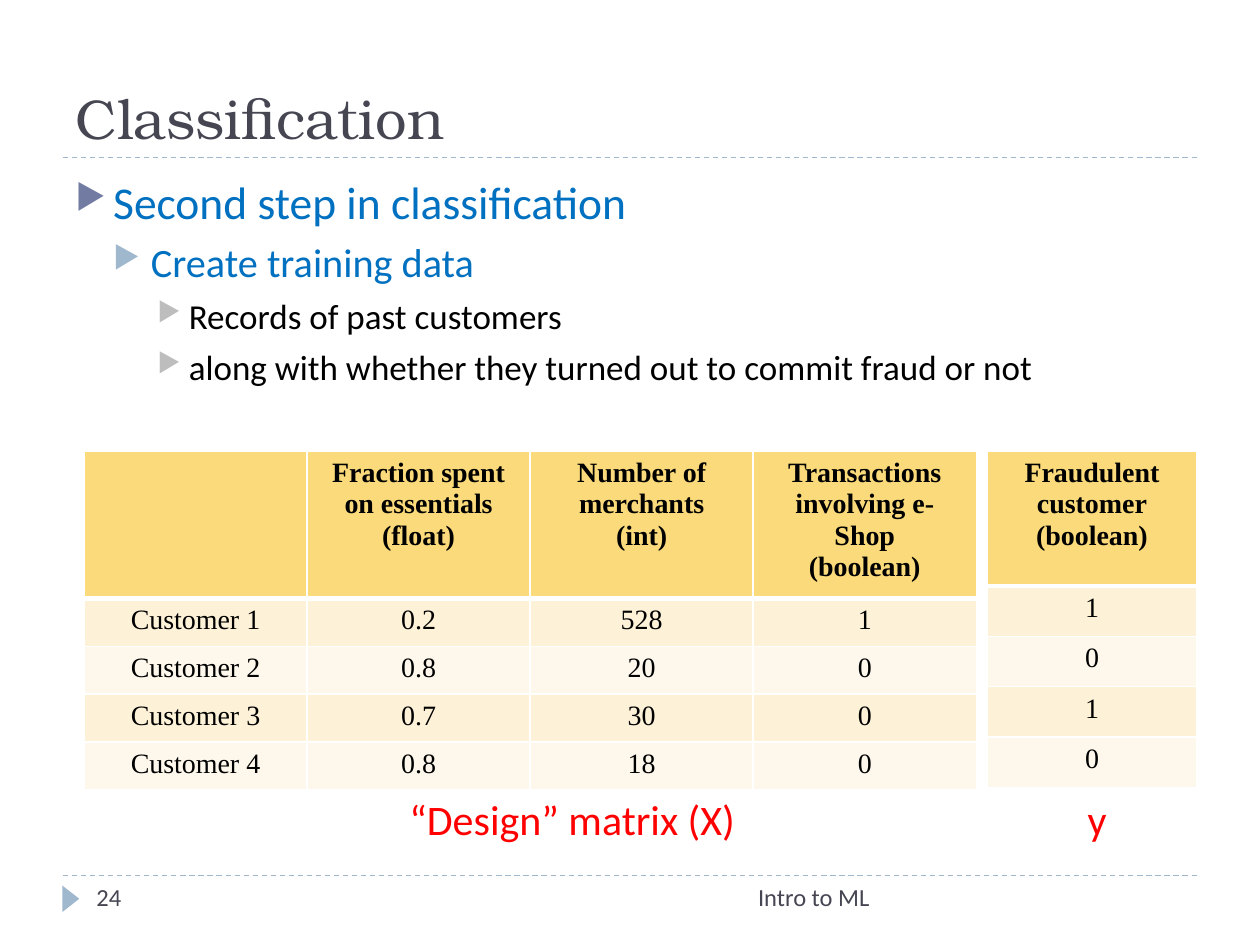
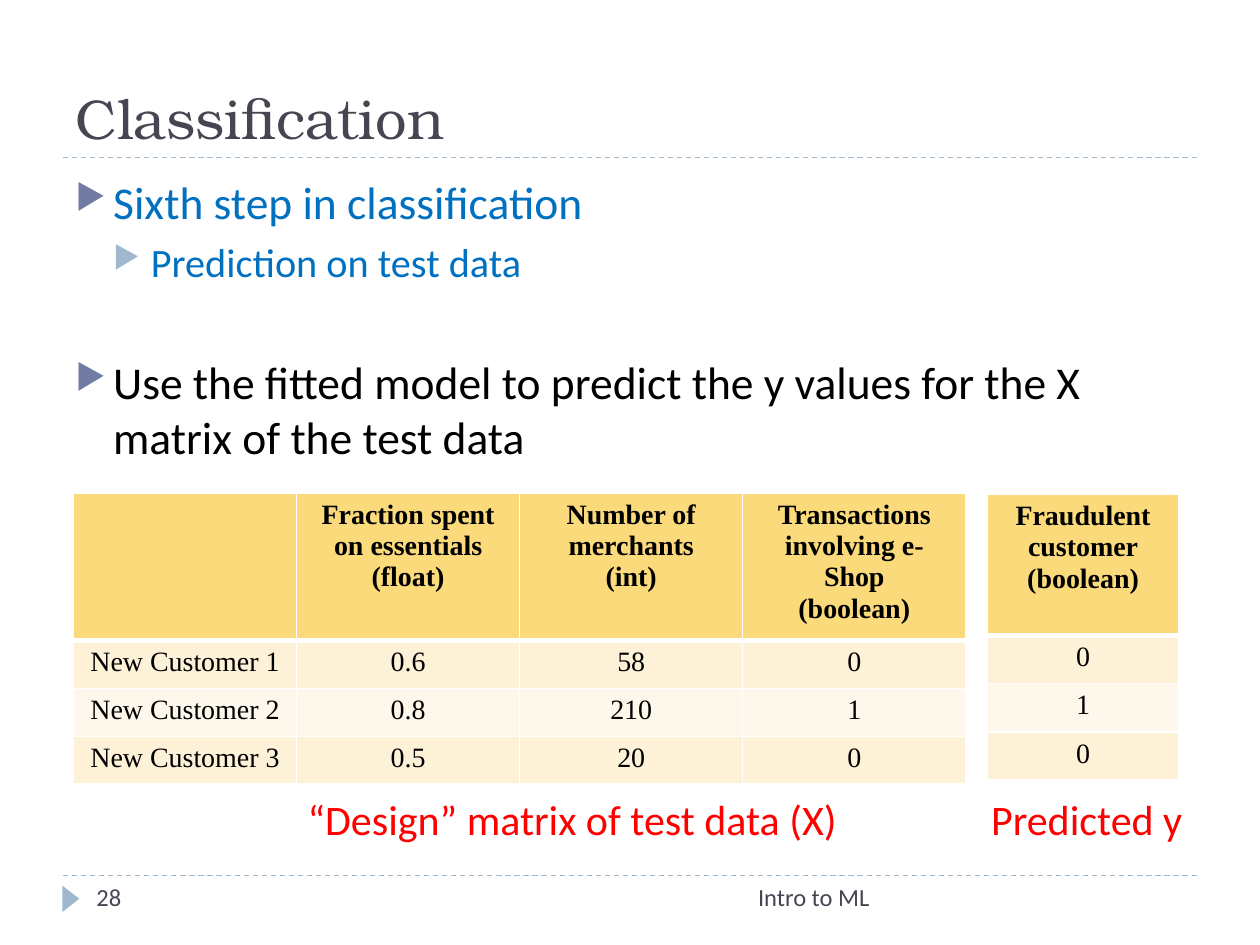
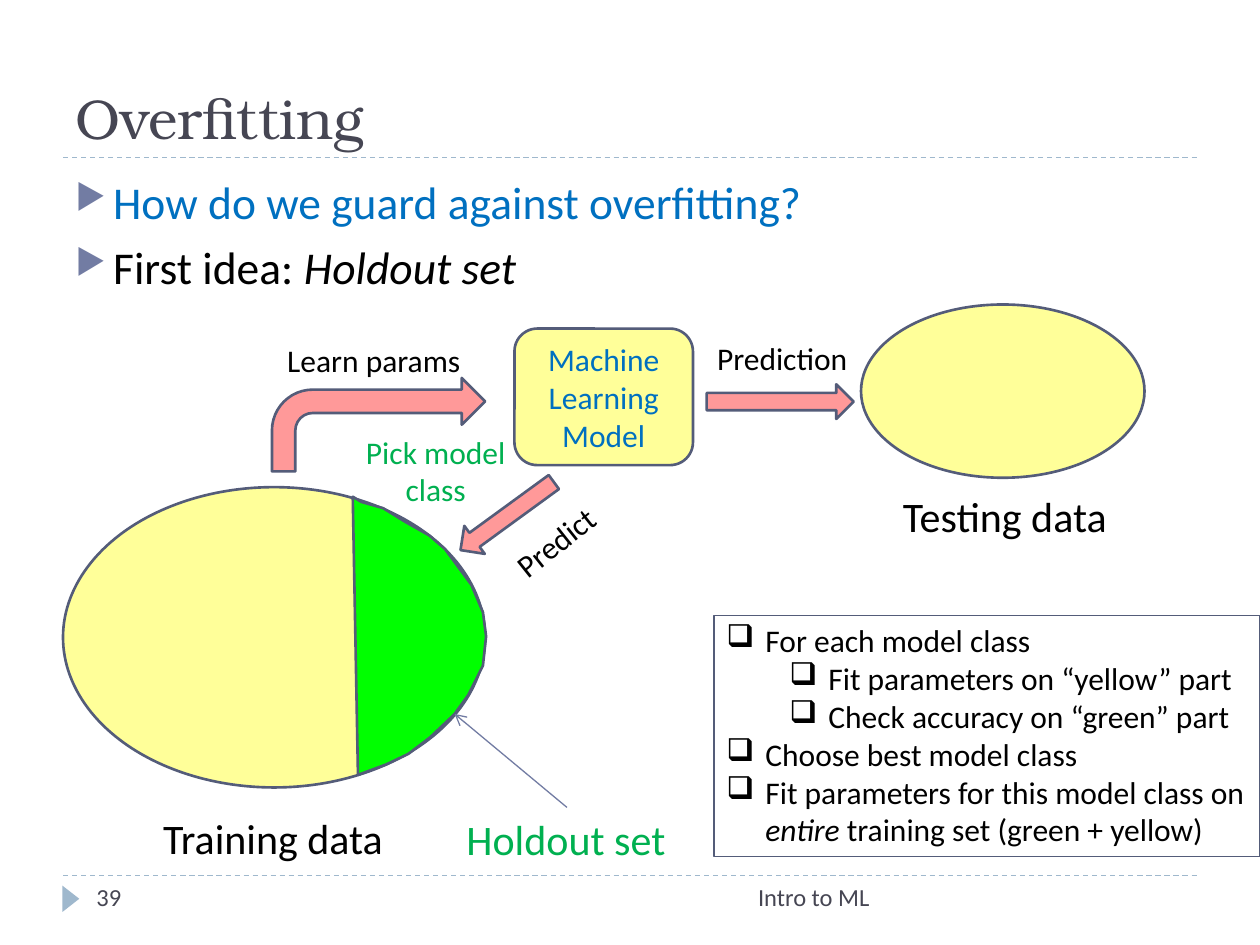
from lxml import etree
from pptx import Presentation
from pptx import util as u
from pptx.dml.color import RGBColor
from pptx.enum import dml, shapes, text
from pptx.oxml.ns import qn

COLORS = {
    "white": "FFFFFF", "ink": "000000", "title": "464653", "blue": "0070C0",
    "red": "FF0000", "green": "00B050", "holdout": "00FF00", "yellow": "FFFF00",
    "rule": "9FB8CD", "outline": "545C79", "pointer": "727CA3", "third": "BDBDBD",
    "header": "FADA7A", "band_dark": "FDF1D7", "band_light": "FEF8EC",
}
BODY, HEADING, TABLE = "Calibri", "TeX Gyre Bonum", "Times New Roman"
COLUMNS, ROWS = 120, 90
ALIGN = text.PP_ALIGN
KIND = shapes.MSO_SHAPE

# Body levels: size, left indent and hanging indent in inches, space before, bullet colour
LEVELS = [(26, 0.3, 0.3, 6, "pointer"), (23, 0.6, 0.3, 5, "rule"), (20, 0.9, 0.25, 5, "third")]


def rgb(name):
    return RGBColor.from_string(COLORS[name])


def child(parent, tag, **attributes):
    return etree.SubElement(parent, qn(tag), attributes)


class Slides:
    """Holds the deck, its grid and the current slide."""

    def __init__(self):
        self.deck = Presentation()
        self.deck.slide_width, self.deck.slide_height = u.Inches(10), u.Inches(7.5)
        self.column = self.deck.slide_width / COLUMNS
        self.row = self.deck.slide_height / ROWS
        self.page = None

    def place(self, left, top, width, height):
        return (*self.point(left, top), *self.point(width, height))

    def point(self, x, y):
        return u.Emu(round(x * self.column)), u.Emu(round(y * self.row))

    # Slide frame: title, rules and footer
    def start(self, title, number):
        self.page = self.deck.slides.add_slide(self.deck.slide_layouts[5])
        for y in (15, 83.4):
            self.line((6, y), (114, y), "rule", dash=True)
        marker = self.shape(KIND.ISOSCELES_TRIANGLE, (5.5, 84.8, 2.5, 1.6), "rule", None)
        marker.rotation = 90
        heading = self.page.shapes.title
        heading.left, heading.top, heading.width, heading.height = self.place(6, 2, 108, 13)
        heading.text_frame.vertical_anchor = text.MSO_ANCHOR.BOTTOM
        self.add_text(heading.text_frame.paragraphs[0], title, 32, "title", HEADING, ALIGN.LEFT)
        self.label("Intro to ML", (38, 83.4, 46, 4.8), 14, "title", ALIGN.RIGHT)
        self.label(number, (8, 83.4, 26, 4.8), 14, "title", ALIGN.LEFT)

    # Text; a "*" switches italics on and off
    def add_text(self, para, words, size, color, font=BODY, align=None, bold=False):
        para.alignment = align
        for index, part in enumerate(words.split("*")):
            for number, line in enumerate(part.split("\n")):
                if number:
                    para.add_line_break()
                if not line:
                    continue
                span = para.add_run()
                span.text = line
                span.font.size, span.font.name = u.Pt(size), font
                span.font.color.rgb = rgb(color)
                span.font.bold, span.font.italic = bold, index % 2 == 1

    def label(self, words, area, size=18, color="ink", align=ALIGN.CENTER):
        box = self.page.shapes.add_textbox(*self.place(*area))
        box.text_frame.word_wrap = True
        self.add_text(box.text_frame.paragraphs[0], words, size, color, align=align)
        return box

    def bullet(self, para, level, left, hanging, sign, color=None, percent=100):
        para.level = level
        props = para._p.get_or_add_pPr()
        props.set("marL", str(u.Inches(left)))
        props.set("indent", str(-u.Inches(hanging)))
        if color:
            child(child(props, "a:buClr"), "a:srgbClr", val=COLORS[color])
        child(props, "a:buSzPct", val=str(percent * 1000))
        child(props, "a:buChar", char=sign)

    def paragraphs(self, box, items):
        frame = box.text_frame
        frame.word_wrap = True
        for index, item in enumerate(items):
            yield index, frame.add_paragraph() if index else frame.paragraphs[0], item

    def body(self, *items):
        """Each item is level, words, colour and, if wanted, its own space before."""
        box = self.page.shapes.add_textbox(*self.place(6, 16, 108, 64.8))
        for index, para, (level, words, color, *space) in self.paragraphs(box, items):
            size, left, hanging, before, mark = LEVELS[level]
            self.bullet(para, level, left, hanging, "▶", mark, 76)
            if index:
                para.space_before = u.Pt(space[0] if space else before)
            self.add_text(para, words, size, color)

    def checklist(self, area, *items):
        box = self.page.shapes.add_textbox(*self.place(*area))
        box.line.color.rgb, box.line.width = rgb("outline"), u.Pt(0.75)
        for _, para, (level, words) in self.paragraphs(box, items):
            self.bullet(para, level, 0.31 + level * 0.5, 0.31, "❑")
            self.add_text(para, words, 18, "ink")

    # Shapes and lines
    def paint(self, shape, fill, outline="outline", opacity=100):
        shape.shadow.inherit = False
        shape.fill.solid()
        shape.fill.fore_color.rgb = rgb(fill)
        if opacity < 100:
            color = shape._element.spPr.find(qn("a:solidFill"))[0]
            child(color, "a:alpha", val=str(opacity * 1000))
        if outline:
            shape.line.color.rgb, shape.line.width = rgb(outline), u.Pt(1.5)
        else:
            shape.line.fill.background()
        return shape

    def shape(self, kind, area, fill, outline="outline", opacity=100):
        shape = self.page.shapes.add_shape(kind, *self.place(*area))
        return self.paint(shape, fill, outline, opacity)

    def outline(self, points, fill):
        corners = [self.point(*corner) for corner in points]
        builder = self.page.shapes.build_freeform(*corners[0])
        builder.add_line_segments(corners[1:], close=True)
        return self.paint(builder.convert_to_shape(), fill)

    def line(self, start, end, color, dash=False, arrow=False):
        line = self.page.shapes.add_connector(
            shapes.MSO_CONNECTOR.STRAIGHT, *self.point(*start), *self.point(*end))
        line.line.color.rgb, line.line.width = rgb(color), u.Pt(0.75)
        if dash:
            line.line.dash_style = dml.MSO_LINE.DASH
        if arrow:
            child(line._element.spPr.find(qn("a:ln")), "a:tailEnd", type="arrow")
        child(line._element.spPr, "a:effectLst")

    # Tables
    def table(self, area, header_rows, records):
        height = area[3]
        grid = self.page.shapes.add_table(
            len(records), len(records[0]), *self.place(*area)).table
        record_rows = (height - header_rows) / (len(records) - 1)
        for r, record in enumerate(records):
            grid.rows[r].height = round((record_rows if r else header_rows) * self.row)
            fill = ("band_light", "band_dark")[r % 2] if r else "header"
            for c, words in enumerate(record):
                cell = grid.cell(r, c)
                self.borders(cell, top=3 if r == 1 else 1, bottom=1 if r else 3)
                cell.fill.solid()
                cell.fill.fore_color.rgb = rgb(fill)
                if words:
                    self.add_text(cell.text_frame.paragraphs[0], words, 16, "ink",
                                  TABLE, ALIGN.CENTER, bold=r == 0)

    def borders(self, cell, top, bottom):
        props = cell._tc.get_or_add_tcPr()
        for side, points in zip("LRTB", (1, 1, top, bottom)):
            edge = child(props, f"a:ln{side}", w=str(u.Pt(points)))
            child(child(edge, "a:solidFill"), "a:srgbClr", val=COLORS["white"])


FEATURES = ["", "Fraction spent on essentials\n(float)", "Number of merchants\n(int)",
            "Transactions involving e-Shop\n(boolean)"]
TARGET = ["Fraudulent customer\n(boolean)"]


def training_data(slides):
    slides.start("Classification", "24")
    slides.body((0, "Second step in classification", "blue"),
                (1, "Create training data", "blue"),
                (2, "Records of past customers", "ink"),
                (2, "along with whether they turned out to commit fraud or not", "ink"))
    slides.table((8, 43, 85, 31.4), 13.2, [
        FEATURES,
        ["Customer 1", "0.2", "528", "1"],
        ["Customer 2", "0.8", "20", "0"],
        ["Customer 3", "0.7", "30", "0"],
        ["Customer 4", "0.8", "18", "0"]])
    slides.table((94, 43, 20, 32), 12.8, [TARGET, ["1"], ["0"], ["1"], ["0"]])
    slides.label("“Design” matrix (X)", (34, 75, 41, 6), 24, "red")
    slides.label("y", (101, 75, 7, 6), 24, "red")


def test_data(slides):
    slides.start("Classification", "28")
    slides.body((0, "Sixth step in classification", "blue"),
                (1, "Prediction on test data", "blue"),
                (0, "Use the fitted model to predict the y values for the X matrix "
                    "of the test data", "ink", 39))
    slides.table((7, 47, 85, 26.9), 13.2, [
        FEATURES,
        ["New Customer 1", "0.6", "58", "0"],
        ["New Customer 2", "0.8", "210", "1"],
        ["New Customer 3", "0.5", "20", "0"]])
    slides.table((94, 47.1, 18.3, 27.2), 13.4, [TARGET, ["0"], ["1"], ["0"]])
    slides.label("“Design” matrix of test data (X)", (25, 75, 59, 6), 24, "red")
    slides.label("Predicted y", (92, 75, 23, 6), 24, "red")


def overfitting(slides):
    slides.start("Overfitting", "39")
    slides.body((0, "How do we guard against overfitting?", "blue"),
                (0, "First idea: *Holdout set*", "ink"))

    # Data sets and model
    slides.shape(KIND.OVAL, (6, 46.4, 40.2, 28.6), "yellow", opacity=40)
    slides.shape(KIND.OVAL, (82, 29, 27, 16.5), "yellow", opacity=40)
    slides.label("Training data", (13, 76.8, 26, 6), 24)
    slides.label("Testing data", (82.7, 46.1, 26, 6), 24)
    model = slides.shape(KIND.ROUNDED_RECTANGLE, (49, 31.3, 17, 13), "yellow", opacity=40)
    model.text_frame.word_wrap = True
    slides.add_text(model.text_frame.paragraphs[0], "Machine Learning Model", 18, "blue",
                    align=ALIGN.CENTER)

    # Holdout part of the training data
    slides.outline([
        (33.6, 47.3), (34.1, 73.8), (36.8, 72.8), (38.9, 71.8), (41, 70.2), (43.3, 68),
        (44.6, 66.2), (46, 63.4), (46.3, 60.6), (46, 58.3), (44.9, 55.7), (42.4, 52.3),
        (40.9, 51), (38.6, 49.7), (36.5, 48.4), (34.4, 47.8)], "holdout")
    slides.label("Holdout set", (40.9, 76.9, 26, 6), 24, "green")
    slides.line((54, 76.9), (43.3, 68), "pointer", arrow=True)

    # Arrows and their labels
    slides.shape(KIND.BENT_ARROW, (25.9, 36, 20.3, 8.9), "red", opacity=40)
    slides.shape(KIND.RIGHT_ARROW, (67.3, 36.6, 14, 3.3), "red", opacity=40)
    back = slides.shape(KIND.RIGHT_ARROW, (42.8, 47.5, 11, 3.3), "red", opacity=40)
    back.rotation = 143.9
    slides.label("Learn params", (25.2, 31.9, 20.8, 4.8))
    slides.label("Prediction", (66, 31.7, 17, 4.8))
    slides.label("Pick model class", (33, 40.6, 17, 8.5), color="green")
    slides.label("Predict", (44.4, 49.2, 17, 4.8)).rotation = 321.5

    # Procedure
    slides.checklist((68, 58.6, 52, 23),
                     (0, "For each model class"),
                     (1, "Fit parameters on “yellow” part"),
                     (1, "Check accuracy on “green” part"),
                     (0, "Choose best model class"),
                     (0, "Fit parameters for this model class on *entire* "
                         "training set (green + yellow)"))


def main():
    slides = Slides()
    for build in (training_data, test_data, overfitting):
        build(slides)
    slides.deck.save("out.pptx")


if __name__ == "__main__":
    main()
